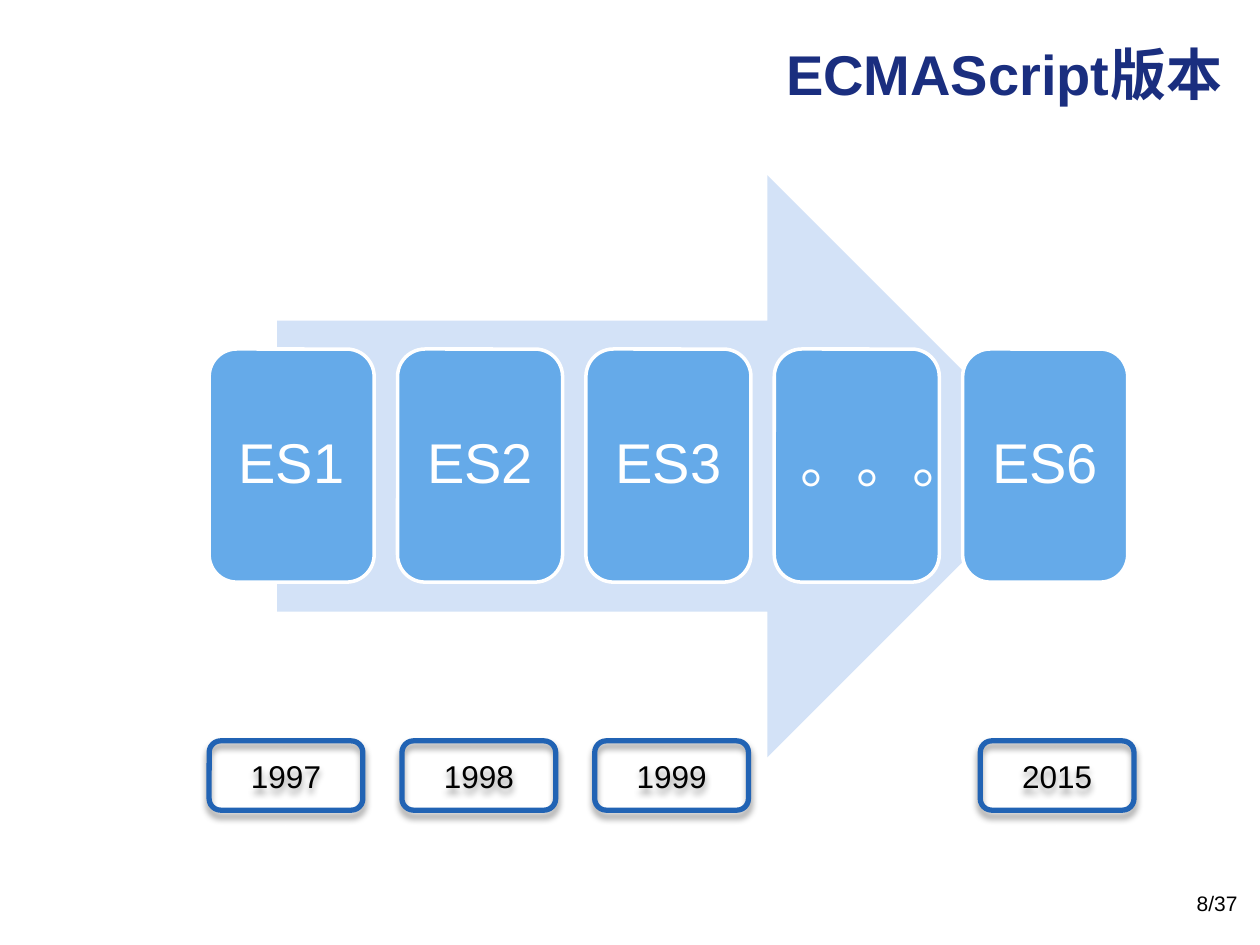
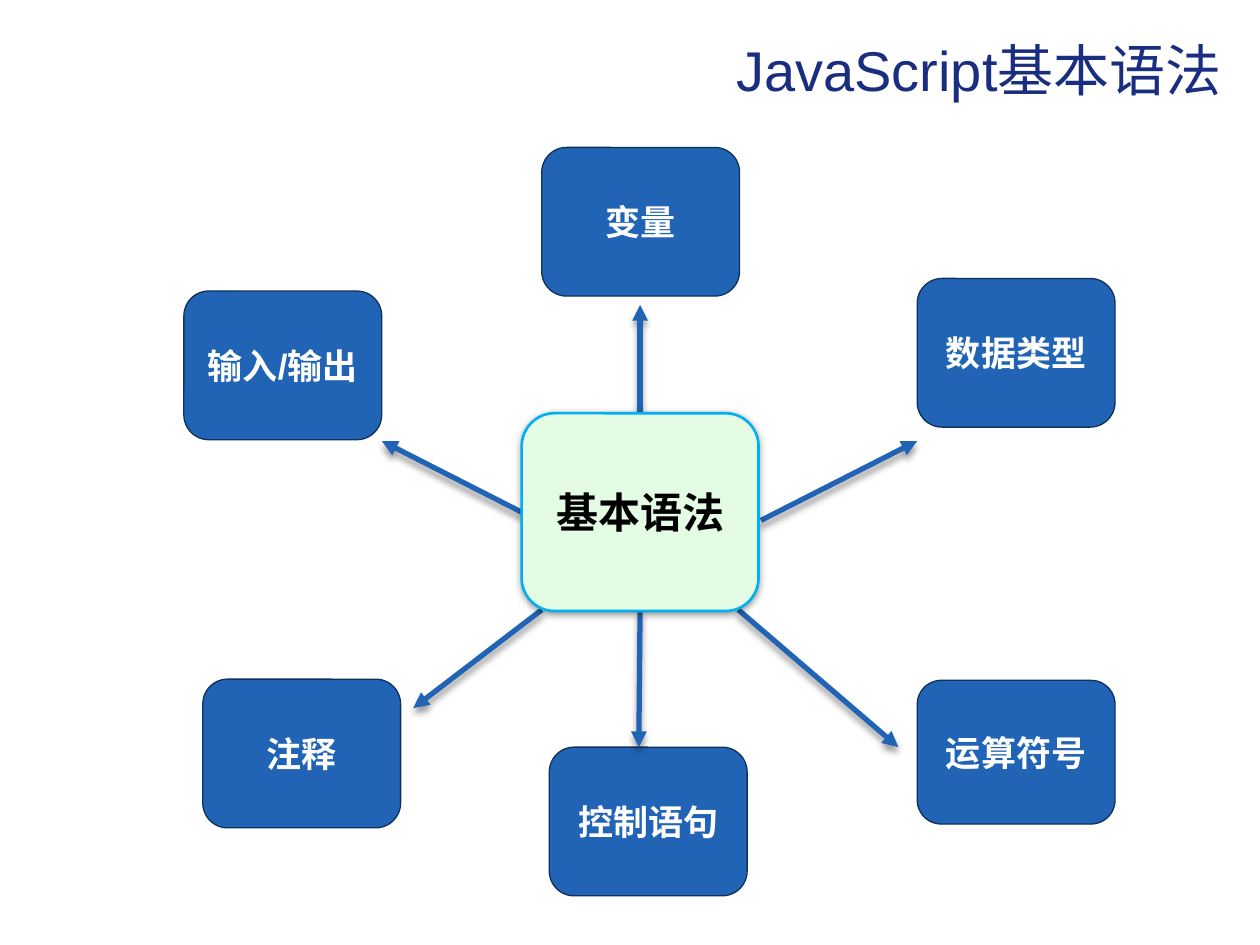
from dataclasses import dataclass

from lxml import etree
from pptx import Presentation
from pptx.dml.color import RGBColor
from pptx.enum import lang, shapes, text
from pptx.oxml import ns
from pptx.util import Inches, Pt

FONT = "Arial"
NAVY, BLUE, DARK_BLUE = "1A2E7F", "2163B4", "10315A"
SKY, PALE_BLUE, CYAN, MINT = "65AAE9", "D3E2F7", "00B0F0", "E4FCE4"
WHITE, BLACK = "FFFFFF", "000000"


@dataclass(frozen=True)
class Area:
    left: float
    top: float
    width: float
    height: float

    def lengths(self) -> list:
        return [Inches(n) for n in (self.left, self.top, self.width, self.height)]


@dataclass(frozen=True)
class BoxStyle:
    size: int
    text_color: str
    line_color: str
    line_width: float
    fill: str | None = None
    bold: bool = False
    shadow_distance: float | None = None
    inset: float = 0.1
    line_spacing: float = 1.0


@dataclass(frozen=True)
class Topic:
    label: str
    left: float
    top: float
    height: float = 1.18


@dataclass(frozen=True)
class Spoke:
    start: tuple[float, float]
    end: tuple[float, float]
    hub_site: int | None = None


VERSION = BoxStyle(32, WHITE, WHITE, 2, SKY, inset=0.13, line_spacing=0.9)
YEAR = BoxStyle(18, BLACK, BLUE, 3, shadow_distance=3)
TOPIC = BoxStyle(20, WHITE, DARK_BLUE, 0.75, BLUE, bold=True)
HUB = BoxStyle(24, BLACK, CYAN, 1.5, MINT, bold=True, shadow_distance=1)

VERSIONS = [("ES1", "1997"), ("ES2", "1998"), ("ES3", "1999"),
            ("。。。", None), ("ES6", "2015")]
FIRST_LEFT, VERSION_PITCH, YEAR_PITCH = 1.66, 1.495, 1.53

TOPIC_WIDTH = 1.57
TOPICS = [
    Topic("数据类型", 7.28, 2.21),
    Topic("变量", 4.3, 1.17),
    Topic("注释", 1.61, 5.39),
    Topic("控制语句", 4.36, 5.93),
    Topic("运算符号", 7.28, 5.4, 1.14),
    Topic("输入/输出", 1.46, 2.31),
]
SPOKES = [
    Spoke((5.08, 3.28), (5.08, 2.42), hub_site=0),
    Spoke((6.04, 4.13), (7.28, 3.5)),
    Spoke((5.86, 4.84), (7.13, 5.93)),
    Spoke((5.08, 4.85), (5.07, 5.93), hub_site=2),
    Spoke((4.14, 4.07), (3.03, 3.5), hub_site=1),
    Spoke((4.3, 4.84), (3.28, 5.62)),
]


def rgb(color: str) -> RGBColor:
    return RGBColor.from_string(color)


def write(frame, words: str, size: float, color: str, align,
          bold: bool = False, line_spacing: float = 1.0) -> None:
    frame.text = words
    frame.word_wrap = True
    para = frame.paragraphs[0]
    para.alignment = align
    para.line_spacing = line_spacing
    for span in para.runs:
        span.font.name = FONT
        span.font.size = Pt(size)
        span.font.bold = bold
        span.font.color.rgb = rgb(color)
        span.font.language_id = lang.MSO_LANGUAGE_ID.SIMPLIFIED_CHINESE


def add_shadow(effects, distance: float) -> None:
    """Fill an effect list with a soft black shadow falling straight down."""
    shadow = etree.SubElement(effects, ns.qn("a:outerShdw"), blurRad=str(Pt(4)),
                              dist=str(Pt(distance)), dir="5400000", rotWithShape="0")
    color = etree.SubElement(shadow, ns.qn("a:srgbClr"), val=BLACK)
    etree.SubElement(color, ns.qn("a:alpha"), val="40000")


def add_titled_page(deck, title: str, top: float, anchor, bold: bool):
    page = deck.slides.add_slide(deck.slide_layouts[5])
    box = page.shapes.title
    box.left, box.top, box.width, box.height = Area(0.8, top, 9, 0.98).lengths()
    frame = box.text_frame
    write(frame, title, 32, NAVY, text.PP_ALIGN.RIGHT, bold)
    frame.auto_size = text.MSO_AUTO_SIZE.NONE
    frame.vertical_anchor = anchor
    return page


def add_box(page, area: Area, words: str, style: BoxStyle):
    box = page.shapes.add_shape(shapes.MSO_SHAPE.ROUNDED_RECTANGLE, *area.lengths())
    if style.fill:
        box.fill.solid()
        box.fill.fore_color.rgb = rgb(style.fill)
    else:
        box.fill.background()
    box.line.color.rgb = rgb(style.line_color)
    box.line.width = Pt(style.line_width)
    box.shadow.inherit = False
    if style.shadow_distance is not None:
        add_shadow(box.element.spPr.find(ns.qn("a:effectLst")), style.shadow_distance)
    frame = box.text_frame
    frame.margin_left = frame.margin_right = Inches(style.inset)
    frame.vertical_anchor = text.MSO_ANCHOR.MIDDLE
    write(frame, words, style.size, style.text_color, text.PP_ALIGN.CENTER,
          style.bold, style.line_spacing)
    return box


def add_spoke(page, spoke: Spoke, hub) -> None:
    ends = [Inches(n) for n in (*spoke.start, *spoke.end)]
    arrow = page.shapes.add_connector(shapes.MSO_CONNECTOR.STRAIGHT, *ends)
    if spoke.hub_site is not None:
        arrow.begin_connect(hub, spoke.hub_site)
    arrow.line.color.rgb = rgb(BLUE)
    arrow.line.width = Pt(3)
    properties = arrow.element.spPr
    etree.SubElement(properties.find(ns.qn("a:ln")), ns.qn("a:tailEnd"), type="triangle")
    add_shadow(etree.SubElement(properties, ns.qn("a:effectLst")), 3)


def build_versions(deck) -> None:
    page = add_titled_page(deck, "ECMAScript版本", 0.09, text.MSO_ANCHOR.MIDDLE, True)
    number = page.shapes.add_textbox(*Area(7.59, 7.02, 2.33, 0.4).lengths())
    write(number.text_frame, "8/37", 12, BLACK, text.PP_ALIGN.RIGHT)

    arrow = page.shapes.add_shape(shapes.MSO_SHAPE.RIGHT_ARROW,
                                  *Area(2.2, 1.39, 6.2, 4.62).lengths())
    arrow.fill.solid()
    arrow.fill.fore_color.rgb = rgb(PALE_BLUE)
    arrow.line.fill.background()
    arrow.shadow.inherit = False

    for index, (version, year) in enumerate(VERSIONS):
        left = FIRST_LEFT + index * VERSION_PITCH
        add_box(page, Area(left, 2.77, 1.31, 1.85), version, VERSION)
        if year:
            left = FIRST_LEFT + index * YEAR_PITCH
            add_box(page, Area(left, 5.88, 1.22, 0.55), year, YEAR)


def build_syntax(deck) -> None:
    page = add_titled_page(deck, "JavaScript基本语法", 0.23, text.MSO_ANCHOR.TOP, False)
    for topic in TOPICS:
        area = Area(topic.left, topic.top, TOPIC_WIDTH, topic.height)
        add_box(page, area, topic.label, TOPIC)
    hub = add_box(page, Area(4.14, 3.28, 1.88, 1.57), "基本语法", HUB)
    for spoke in SPOKES:
        add_spoke(page, spoke, hub)
    hub.element.getparent().append(hub.element)  # the hub covers the spoke ends


def main() -> None:
    deck = Presentation()
    deck.slide_width, deck.slide_height = Inches(10), Inches(7.5)
    build_versions(deck)
    build_syntax(deck)
    deck.save("out.pptx")


if __name__ == "__main__":
    main()
